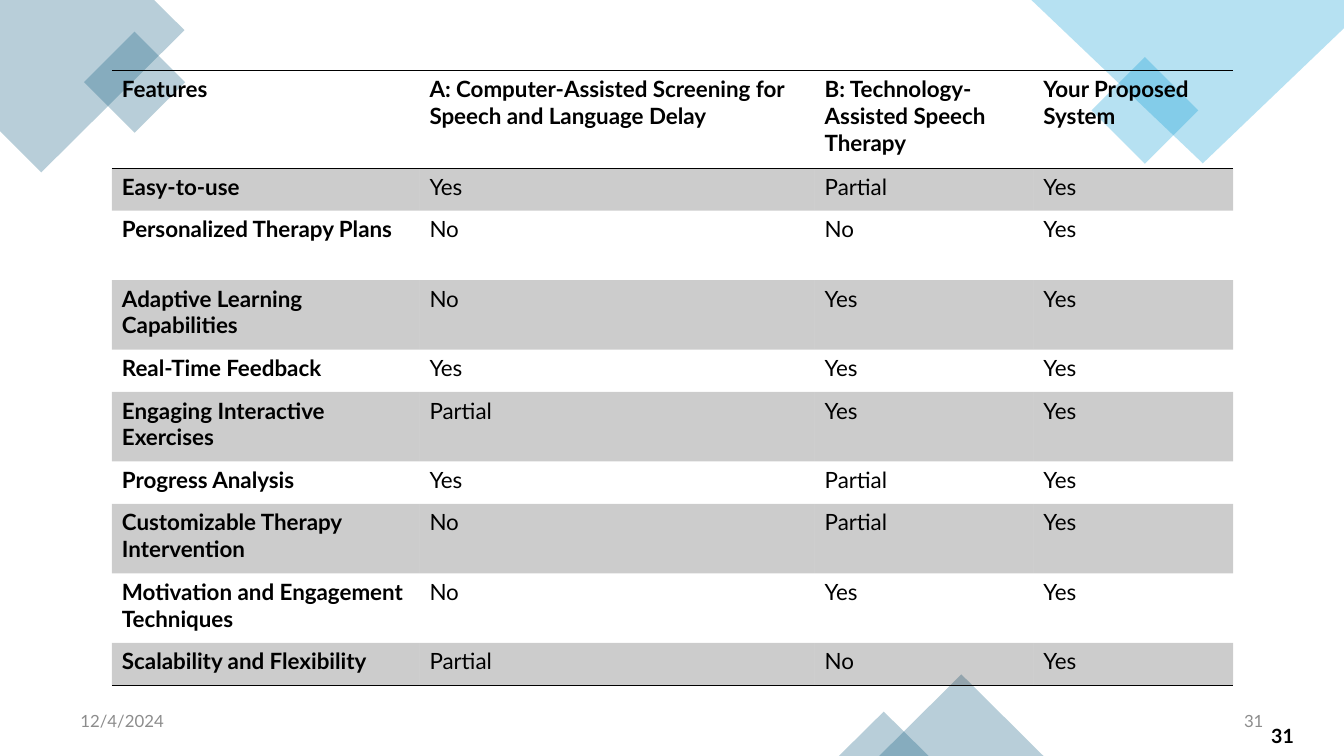
from lxml import etree
from pptx import Presentation
from pptx.dml.color import RGBColor
from pptx.enum.shapes import MSO_SHAPE
from pptx.enum.text import MSO_ANCHOR, PP_ALIGN
from pptx.oxml.ns import qn
from pptx.util import Inches, Pt

RECTANGLE, TRIANGLE = MSO_SHAPE.RECTANGLE, MSO_SHAPE.ISOSCELES_TRIANGLE
MIDDLE = MSO_ANCHOR.MIDDLE
LEFT, RIGHT = PP_ALIGN.LEFT, PP_ALIGN.RIGHT

# Content
FONT = "Lato"
BLACK, GREY, TEAL, SKY = "000000", "8C8C8C", "156082", "0F9ED5"
FEATURES = [
    ("Features", "A: Computer-Assisted Screening for Speech and Language Delay",
     "B: Technology-Assisted Speech Therapy", "Your Proposed System"),
    ("Easy-to-use", "Yes", "Partial", "Yes"),
    ("Personalized Therapy Plans", "No", "No", "Yes"),
    ("Adaptive Learning Capabilities", "No", "Yes", "Yes"),
    ("Real-Time Feedback", "Yes", "Yes", "Yes"),
    ("Engaging Interactive Exercises", "Partial", "Yes", "Yes"),
    ("Progress Analysis", "Yes", "Partial", "Yes"),
    ("Customizable Therapy Intervention", "No", "Partial", "Yes"),
    ("Motivation and Engagement Techniques", "No", "Yes", "Yes"),
    ("Scalability and Flexibility", "Partial", "No", "Yes"),
]
COLUMN_WIDTHS = (3.05, 3.92, 2.17, 1.98)
HEADER_HEIGHT, SHORT_ROW, TALL_ROW = 0.97, 0.42, 0.69
SHORT_FEATURES = {"Easy-to-use", "Real-Time Feedback", "Progress Analysis",
                  "Scalability and Flexibility"}
TABLE_LEFT, TABLE_TOP = 1.11, 0.7
NO_STYLE_NO_GRID = "{2D5ABB26-0587-4C30-8999-92F81FD0307C}"

# Corner outlines: points on the slide
LEFT_CORNER = [(1.53, 0), (0, 0), (0, 1.3), (0.41, 1.71), (1.83, 0.3)]
RIGHT_CORNER = [(13.33, 0), (10.23, 0), (11.93, 1.62), (13.33, 0.28)]
# Preset shapes: kind, left, top, width, height, rotation, colour
DIAMONDS = [
    (RECTANGLE, 0.98, 0.46, 0.71, 0.71, 315, TEAL),
    (RECTANGLE, 10.98, 0.72, 0.75, 0.75, 315, SKY),
]
PEAKS = [
    (TRIANGLE, 8.72, 6.69, 1.63, 0.81, 0, TEAL),
    (TRIANGLE, 8.32, 7.06, 0.89, 0.44, 0, TEAL),
]
# Labels: text, left, top, width, size, colour, bold, alignment
CORNER_NUMBER = ("31", 12.51, 7.1, 0.74, 14, BLACK, True, LEFT)
FOOTERS = [
    ("12/4/2024", 0.7, 6.95, 3, 12, GREY, False, LEFT),
    ("31", 9.63, 6.95, 3, 12, GREY, False, RIGHT),
]


def paint(fill, color, opacity):
    fill.solid()
    fill.fore_color.rgb = RGBColor.from_string(color)
    # Only the direct child is the fill; borders hold colours of their own
    solid_fill = fill._xPr.find(qn("a:solidFill"))
    color_element = solid_fill.find(qn("a:srgbClr"))
    etree.SubElement(color_element, qn("a:alpha"), val=str(opacity * 1000))


def style_font(paragraph, size, color, bold):
    font = paragraph.font
    font.name, font.size, font.bold = FONT, Pt(size), bold
    font.color.rgb = RGBColor.from_string(color)


def finish_decoration(shape, color):
    shape.shadow.inherit = False
    paint(shape.fill, color, 30)
    shape.line.fill.background()


def add_outline(slide, points, color):
    start, *others = [(Inches(x), Inches(y)) for x, y in points]
    builder = slide.shapes.build_freeform(*start)
    builder.add_line_segments(others, close=True)
    finish_decoration(builder.convert_to_shape(), color)


def add_preset(slide, kind, left, top, width, height, rotation, color):
    shape = slide.shapes.add_shape(
        kind, Inches(left), Inches(top), Inches(width), Inches(height))
    shape.rotation = rotation
    finish_decoration(shape, color)


def add_label(slide, text, left, top, width, size, color, bold, alignment):
    box = slide.shapes.add_textbox(
        Inches(left), Inches(top), Inches(width), Inches(0.4))
    frame = box.text_frame
    frame.word_wrap = True
    frame.vertical_anchor = MIDDLE
    paragraph = frame.paragraphs[0]
    paragraph.text = text
    paragraph.alignment = alignment
    style_font(paragraph, size, color, bold)


def add_border(cell, side):
    line = etree.SubElement(cell._tc.get_or_add_tcPr(), qn("a:" + side),
                            w=str(Pt(1)))
    fill = etree.SubElement(line, qn("a:solidFill"))
    etree.SubElement(fill, qn("a:srgbClr"), val=BLACK)


def add_feature_table(slide):
    heights = [HEADER_HEIGHT] + [
        SHORT_ROW if row[0] in SHORT_FEATURES else TALL_ROW
        for row in FEATURES[1:]]
    table = slide.shapes.add_table(
        len(FEATURES), len(COLUMN_WIDTHS), Inches(TABLE_LEFT),
        Inches(TABLE_TOP), Inches(sum(COLUMN_WIDTHS)),
        Inches(sum(heights))).table
    table._tbl.tblPr.find(qn("a:tableStyleId")).text = NO_STYLE_NO_GRID
    table.first_row = table.horz_banding = False
    for column, width in zip(table.columns, COLUMN_WIDTHS):
        column.width = Inches(width)

    last_row = len(FEATURES) - 1
    for row_index, values in enumerate(FEATURES):
        table.rows[row_index].height = Inches(heights[row_index])
        for column_index, value in enumerate(values):
            cell = table.cell(row_index, column_index)
            # Rules above and below the header, and below the last row
            if row_index == 0:
                add_border(cell, "lnT")
            if row_index in (0, last_row):
                add_border(cell, "lnB")
            # Every second row is shaded
            if row_index % 2:
                paint(cell.fill, BLACK, 20)
            else:
                cell.fill.background()
            paragraph = cell.text_frame.paragraphs[0]
            paragraph.text = value
            style_font(paragraph, 16, BLACK,
                       row_index == 0 or column_index == 0)


def main():
    presentation = Presentation()
    presentation.slide_width = Inches(13.33)
    presentation.slide_height = Inches(7.5)
    slide = presentation.slides.add_slide(presentation.slide_layouts[6])

    # Corner decorations, back to front
    add_label(slide, *CORNER_NUMBER)
    add_outline(slide, LEFT_CORNER, TEAL)
    for diamond in DIAMONDS:
        add_preset(slide, *diamond)
    add_outline(slide, RIGHT_CORNER, SKY)

    # Footer
    for footer in FOOTERS:
        add_label(slide, *footer)
    for peak in PEAKS:
        add_preset(slide, *peak)

    # Comparison of the systems
    add_feature_table(slide)
    presentation.save("out.pptx")


if __name__ == "__main__":
    main()
